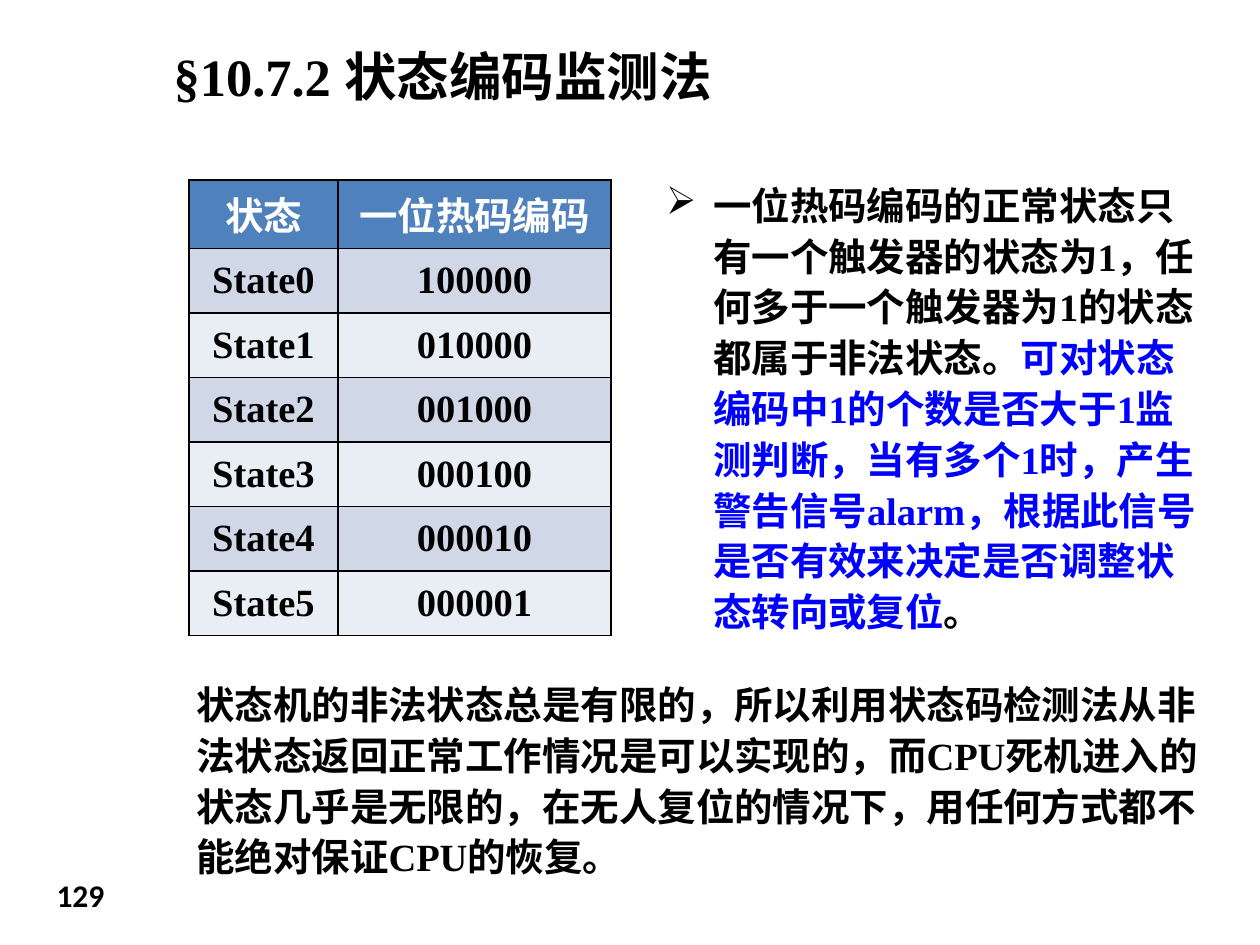
from dataclasses import dataclass

from lxml.etree import SubElement
from pptx import Presentation
from pptx.dml.color import RGBColor
from pptx.enum.text import MSO_ANCHOR, PP_ALIGN
from pptx.oxml.ns import qn
from pptx.util import Cm, Pt


@dataclass(frozen=True)
class Theme:
    black: str = "000000"
    white: str = "FFFFFF"
    blue: str = "0000FF"
    header: str = "4F81BD"
    bands: tuple = ("D0D8E8", "E9EDF4")
    font: str = "Times New Roman"
    number_font: str = "Calibri"
    title: int = 30
    body: int = 22
    number: int = 18


THEME = Theme()


def write(p, text, size=THEME.body, color=THEME.black, font=THEME.font):
    r = p.add_run()
    r.text = text
    r.font.size = Pt(size)
    r.font.bold = True
    r.font.name = font
    r.font.color.rgb = RGBColor.from_string(color)


def add_box(s, box):
    tf = s.shapes.add_textbox(*map(Cm, box)).text_frame
    tf.word_wrap = True
    return tf.paragraphs[0]


def add_line(s, box, text, **style):
    write(add_box(s, box), text, **style)


def add_body(s, box, parts, bullet=None):
    p = add_box(s, box)
    p.line_spacing = 1.1
    p.space_after = Pt(6)
    if bullet:
        pPr = p._p.get_or_add_pPr()
        pPr.set("marL", str(Cm(0.95)))
        pPr.set("indent", str(-Cm(0.95)))
        clr = SubElement(pPr, qn("a:buClr"))
        SubElement(clr, qn("a:srgbClr"), val=THEME.black)
        SubElement(pPr, qn("a:buChar"), char=bullet)
    for text, color in parts:
        write(p, text, color=color)


def style_cell(cell, text, fill, color):
    tcPr = cell._tc.get_or_add_tcPr()
    for side in ("lnL", "lnR", "lnT", "lnB"):
        ln = SubElement(tcPr, qn(f"a:{side}"), w=str(Pt(1)))
        line_fill = SubElement(ln, qn("a:solidFill"))
        SubElement(line_fill, qn("a:srgbClr"), val=THEME.black)
    cell.fill.solid()
    cell.fill.fore_color.rgb = RGBColor.from_string(fill)
    cell.vertical_anchor = MSO_ANCHOR.MIDDLE
    p = cell.text_frame.paragraphs[0]
    p.alignment = PP_ALIGN.CENTER
    write(p, text, color=color)


def add_state_table(s, box, widths, count):
    rows = [("状态", "一位热码编码")]
    rows += [(f"State{i}", f"{1 << (count - 1 - i):0{count}b}") for i in range(count)]
    table = s.shapes.add_table(len(rows), len(widths), *map(Cm, box)).table
    for column, width in zip(table.columns, widths):
        column.width = Cm(width)
    for i, row in enumerate(rows):
        fill = THEME.bands[(i - 1) % 2] if i else THEME.header
        color = THEME.black if i else THEME.white
        for j, text in enumerate(row):
            style_cell(table.cell(i, j), text, fill, color)


def build_slide(prs):
    s = prs.slides.add_slide(prs.slide_layouts[6])
    add_state_table(s, (3.81, 3.63, 8.51, 9.1), (3, 5.51), 6)
    add_line(s, (3.25, 0.76, 19.43, 1.57), "§10.7.2 状态编码监测法", size=THEME.title)
    add_body(s, (13.18, 3.45, 11.33, 9.47), [
        ("一位热码编码的正常状态只有一个触发器的状态为1，"
         "任何多于一个触发器为1的状态都属于非法状态。", THEME.black),
        ("可对状态编码中1的个数是否大于1监测判断，当有多个1时，产生警告信号alarm，"
         "根据此信号是否有效来决定是否调整状态转向或复位", THEME.blue),
        ("。", THEME.black),
    ], bullet="➢")
    add_body(s, (3.71, 13.51, 20.8, 4.32), [
        ("状态机的非法状态总是有限的，所以利用状态码检测法从非法状态返回正常工作情况是可以实现的，"
         "而CPU死机进入的状态几乎是无限的，在无人复位的情况下，"
         "用任何方式都不能绝对保证CPU的恢复。", THEME.black),
    ])
    add_line(s, (0.89, 17.53, 1.6, 1.14), "129",
             size=THEME.number, font=THEME.number_font)


def main():
    prs = Presentation()
    prs.slide_width = Cm(25.4)
    prs.slide_height = Cm(19.05)
    build_slide(prs)
    prs.save("out.pptx")


if __name__ == "__main__":
    main()
